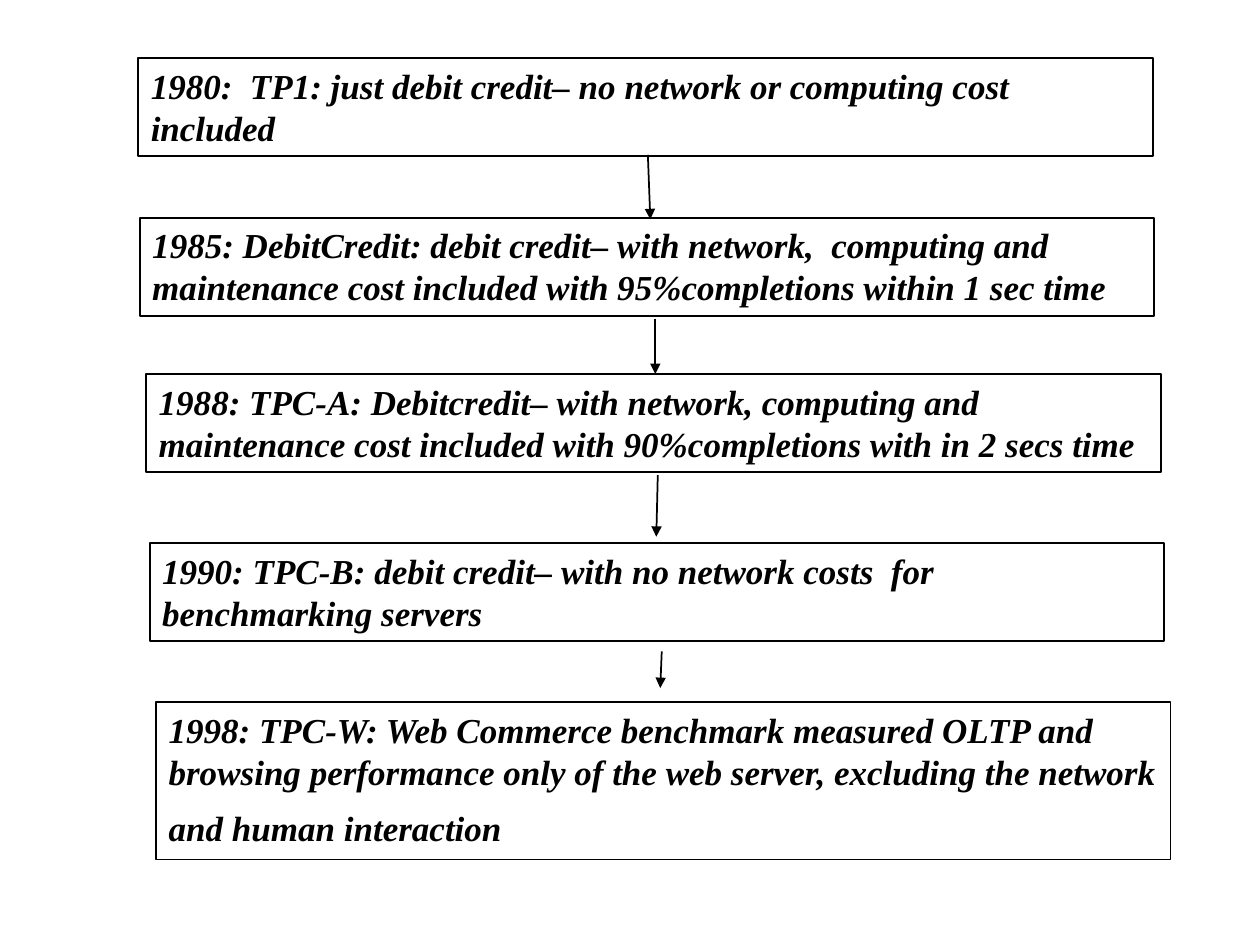
import pptx
import pptx.dml.color
import pptx.enum.shapes
import pptx.enum.text
import pptx.oxml
import pptx.oxml.ns
import pptx.util
from pptx.util import Cm

BLACK = pptx.dml.color.RGBColor(0, 0, 0)
WHITE = pptx.dml.color.RGBColor(255, 255, 255)


class Timeline:
    font_name = "Times New Roman"
    line_width = pptx.util.Pt(1)
    box_width = Cm(20.45)

    def __init__(self, slide):
        self.slide = slide
        slide.background.fill.solid()
        slide.background.fill.fore_color.rgb = WHITE

    def outline(self, line):
        line.color.rgb = BLACK
        line.width = self.line_width

    def milestone(self, left, top, height, runs):
        box = self.slide.shapes.add_textbox(Cm(left), Cm(top), self.box_width, Cm(height))
        self.outline(box.line)
        frame = box.text_frame
        frame.word_wrap = True
        frame.auto_size = pptx.enum.text.MSO_AUTO_SIZE.SHAPE_TO_FIT_TEXT
        for text, size in runs:
            run = frame.paragraphs[0].add_run()
            run.text = text
            run.font.name = self.font_name
            run.font.size = pptx.util.Pt(size)
            run.font.bold = run.font.italic = True
            run.font.color.rgb = BLACK

    def arrow(self, start_x, start_y, end_x, end_y):
        connector = self.slide.shapes.add_connector(
            pptx.enum.shapes.MSO_CONNECTOR.STRAIGHT,
            Cm(start_x), Cm(start_y), Cm(end_x), Cm(end_y))
        self.outline(connector.line)
        head = pptx.oxml.parse_xml(
            f'<a:tailEnd {pptx.oxml.ns.nsdecls("a")} type="triangle"/>')
        connector.line._get_or_add_ln().append(head)
        effects = pptx.oxml.parse_xml(f'<a:effectLst {pptx.oxml.ns.nsdecls("a")}/>')
        connector._element.spPr.append(effects)


MILESTONES = [
    (2.79, 1.17, 1.98, [
        ("1980:  TP1: just debit credit– no network or computing cost included", 20)]),
    (2.82, 4.39, 1.98, [
        ("1985: DebitCredit: debit credit– with network,  computing and maintenance "
         "cost included with 95%completions within 1 sec time", 20)]),
    (2.95, 7.54, 1.98, [
        ("1988: TPC-A: Debitcredit– with network, computing and maintenance "
         "cost included with 90%completions with in 2 secs time", 20)]),
    (3.02, 10.95, 1.98, [
        ("1990: TPC-B: debit credit– with no network costs  for benchmarking servers", 20)]),
    (3.15, 14.15, 3.18, [
        ("1998: TPC-W: Web Commerce benchmark measured OLTP and browsing performance "
         "only of the web server, excluding the network and human interaction", 20),
        (" ", 28)]),
]

ARROWS = [
    (13.06, 3.12, 13.11, 4.42),
    (13.21, 6.43, 13.21, 7.54),
    (13.26, 9.58, 13.23, 10.82),
    (13.34, 13.13, 13.31, 13.87),
]

presentation = pptx.Presentation()
presentation.slide_width = Cm(25.4)
presentation.slide_height = Cm(19.05)
timeline = Timeline(presentation.slides.add_slide(presentation.slide_layouts[6]))

for milestone in MILESTONES:
    timeline.milestone(*milestone)
for arrow in ARROWS:
    timeline.arrow(*arrow)

presentation.save("out.pptx")
